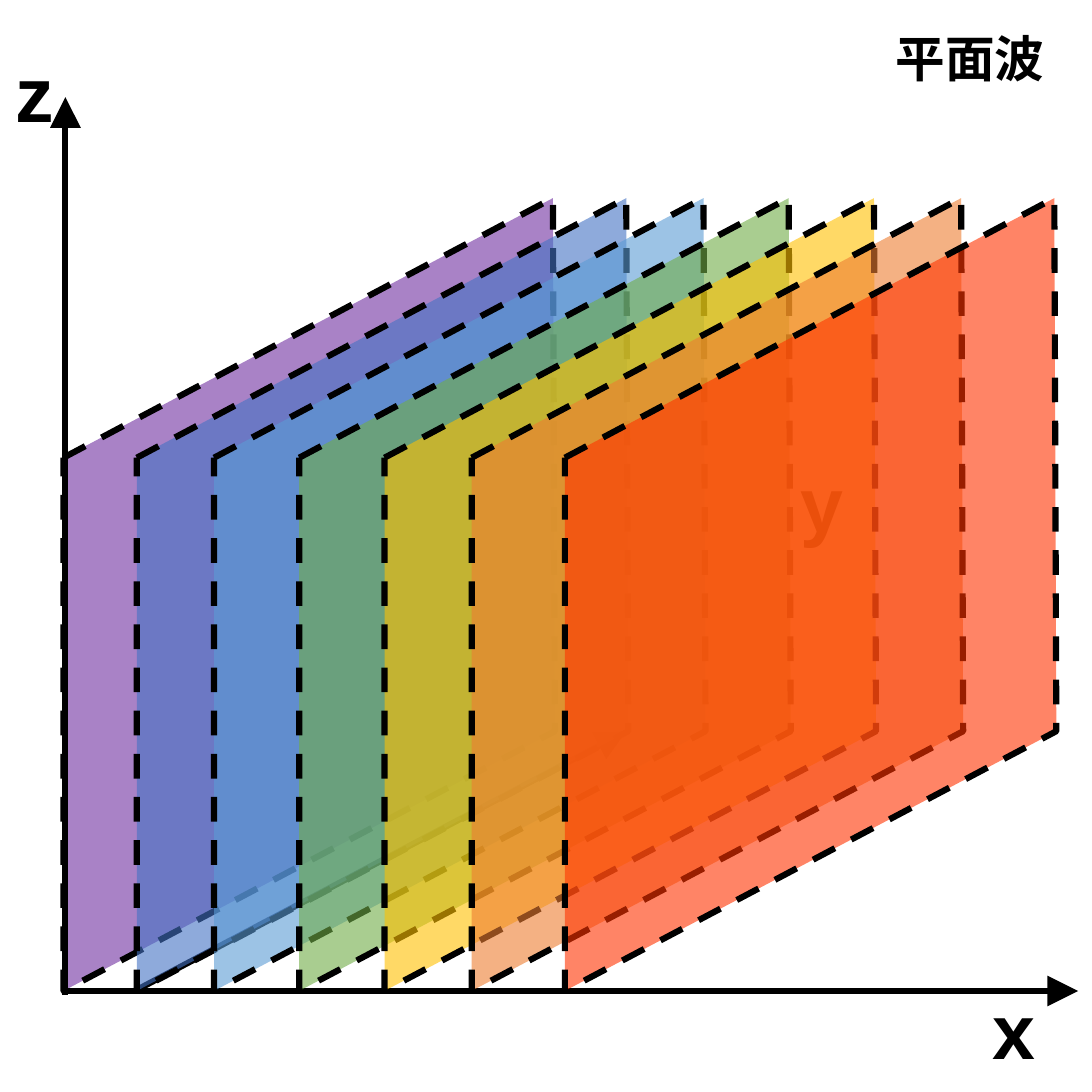
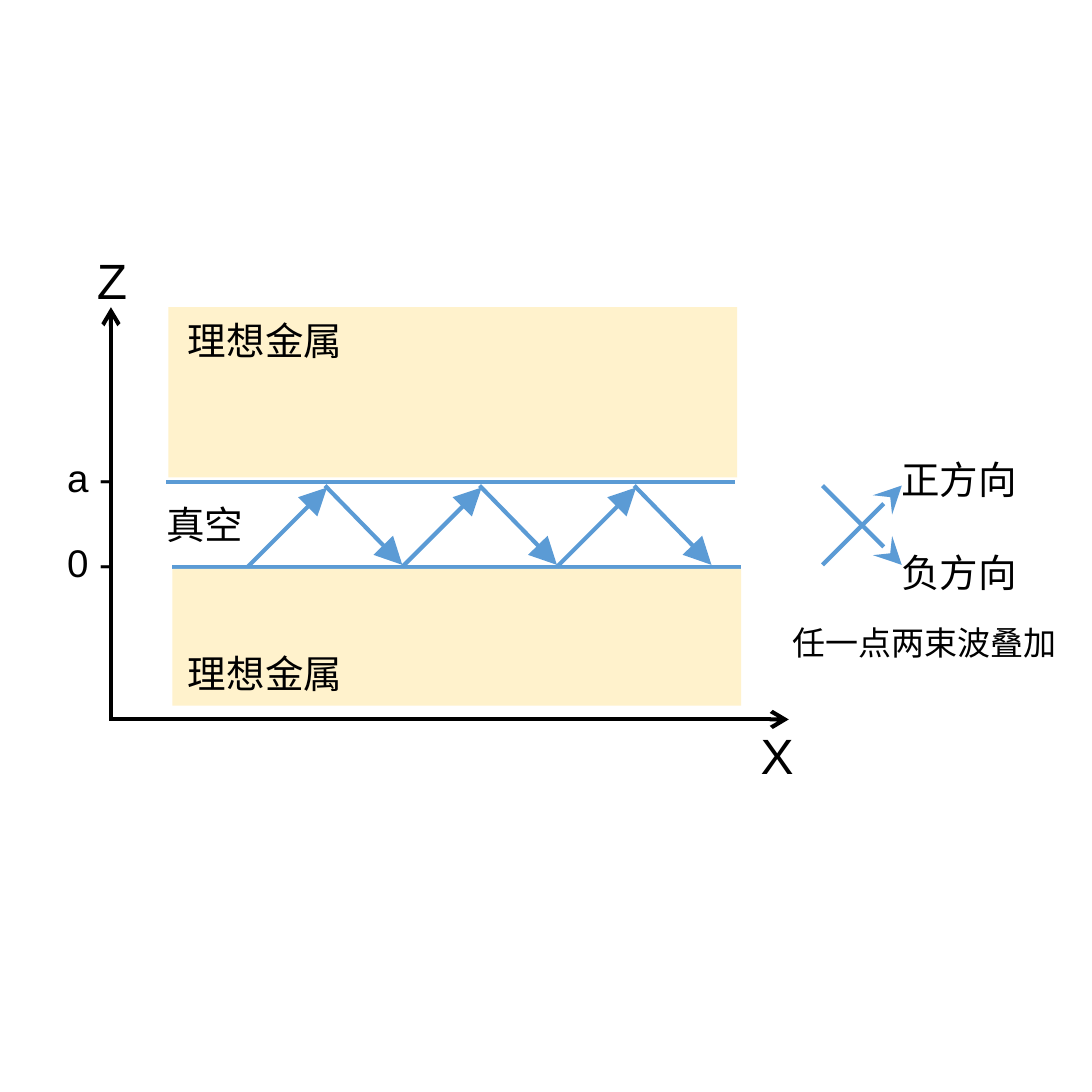
from lxml.etree import SubElement
from pptx import Presentation
from pptx.dml.color import RGBColor
from pptx.enum.dml import MSO_LINE
from pptx.enum.shapes import MSO_CONNECTOR, MSO_SHAPE
from pptx.enum.text import MSO_AUTO_SIZE
from pptx.oxml.ns import qn
from pptx.util import Pt

PX = 9144  # 100 px to the inch
FONT = "Arial"
COLORS = {
    "ink": "000000",
    "wave": "5B9BD5",
    "metal": "FFF2CC",
    "violet": "7030A0",
    "indigo": "4472C4",
    "blue": "5B9BD5",
    "green": "70AD47",
    "yellow": "FFC000",
    "orange": "ED7D31",
    "red": "FF3300",
}


def add_text(slide, text, box, size=14, bold=False, wrap=False, leading=None, gap=0):
    """Write one paragraph per line of text; gap is the space in points between them."""
    frame = slide.shapes.add_textbox(*(v * PX for v in box)).text_frame
    frame.word_wrap = wrap
    frame.auto_size = MSO_AUTO_SIZE.SHAPE_TO_FIT_TEXT
    for i, words in enumerate(text.split("\n")):
        paragraph = frame.add_paragraph() if i else frame.paragraphs[0]
        if leading:
            paragraph.line_spacing = Pt(leading)
        if i:
            paragraph.space_before = Pt(gap)
        run = paragraph.add_run()
        run.text = words
        run.font.name = FONT
        run.font.size = Pt(size)
        run.font.bold = bold
        run.font.color.rgb = RGBColor.from_string(COLORS["ink"])


def add_line(slide, start, end, color="ink", width=1.5, head=None, head_size="lg"):
    points = (v * PX for v in (*start, *end))
    line = slide.shapes.add_connector(MSO_CONNECTOR.STRAIGHT, *points)
    line.line.color.rgb = RGBColor.from_string(COLORS[color])
    line.line.width = Pt(width)
    if head:
        outline = line.line._get_or_add_ln()
        SubElement(outline, qn("a:tailEnd"), type=head, w=head_size, len=head_size)
    SubElement(line._element.spPr, qn("a:effectLst"))


prs = Presentation()
prs.slide_width = prs.slide_height = 551 * PX
blank = prs.slide_layouts[6]

# Plane waves: parallel wavefronts along x
plane_wave = prs.slides.add_slide(blank)
wavefronts = {
    "violet": 32, "indigo": 69, "blue": 108, "green": 151,
    "yellow": 194, "orange": 238, "red": 285,
}
for color, left in wavefronts.items():
    outline = plane_wave.shapes.build_freeform(left, 231, scale=PX)
    outline.add_line_segments([(left + 247, 100), (left + 248, 369), (left, 500)])
    front = outline.convert_to_shape()
    front.shadow.inherit = False
    front.fill.solid()
    front.fill.fore_color.rgb = RGBColor.from_string(COLORS[color])
    tint = front._element.spPr.find(qn("a:solidFill"))[0]
    SubElement(tint, qn("a:alpha"), val="60000")
    front.line.color.rgb = RGBColor.from_string(COLORS["ink"])
    front.line.width = Pt(2.25)
    front.line.dash_style = MSO_LINE.DASH

    # The axes lie between the first wavefront and the others
    if color == "violet":
        for start, end in [((33, 502), (33, 49)), ((32, 500), (544, 500)),
                           ((68, 500), (316, 369))]:
            add_line(plane_wave, start, end, width=2.25, head="triangle")
        add_text(plane_wave, "y", (394, 225, 42, 57), size=28, bold=True)

add_text(plane_wave, "x", (491, 491, 42, 57), size=28, bold=True)
add_text(plane_wave, "z", (-2, 18, 39, 57), size=28, bold=True)
add_text(plane_wave, "平面波", (442, 9, 95, 40), size=18, bold=True)

# Waveguide: a wave bouncing between two metal walls
waveguide = prs.slides.add_slide(blank)
for left, y in [(84, 243), (87, 286)]:
    add_line(waveguide, (left, y), (left + 287, y), color="wave")
add_line(waveguide, (56, 363), (56, 155), head="arrow", head_size="med")
for box in [(85, 155, 287, 86), (87, 287, 287, 69)]:
    metal = waveguide.shapes.add_shape(MSO_SHAPE.RECTANGLE, *(v * PX for v in box))
    metal.shadow.inherit = False
    metal.fill.solid()
    metal.fill.fore_color.rgb = RGBColor.from_string(COLORS["metal"])
    metal.line.fill.background()

for bounce in range(3):
    left = 125 + 78 * bounce
    add_line(waveguide, (left, 286), (left + 40, 246), color="wave", head="triangle")
    add_line(waveguide, (left + 39, 245), (left + 78, 285), color="wave", head="triangle")

for top in (155, 323):
    add_text(waveguide, "理想金属", (85, top, 98, 34))
add_text(waveguide, "真空", (74, 248, 59, 34))
add_text(waveguide, "a -\n0 -", (24, 226, 43, 75), leading=15.5, gap=15.5)
add_text(waveguide, "Z", (39, 121, 35, 40), size=18)

# Superposition of the two beams
for start_y, end_y in [(285, 245), (245, 285)]:
    add_line(waveguide, (415, start_y), (455, end_y), color="wave", head="stealth")
add_text(waveguide, "正方向\n负方向", (445, 225, 80, 81), gap=17)
add_text(waveguide, "任一点两束波叠加", (390, 309, 157, 30), size=12, wrap=True)

add_line(waveguide, (55, 363), (398, 363), head="arrow", head_size="med")
add_text(waveguide, "X", (374, 361, 37, 40), size=18)

prs.save("out.pptx")
